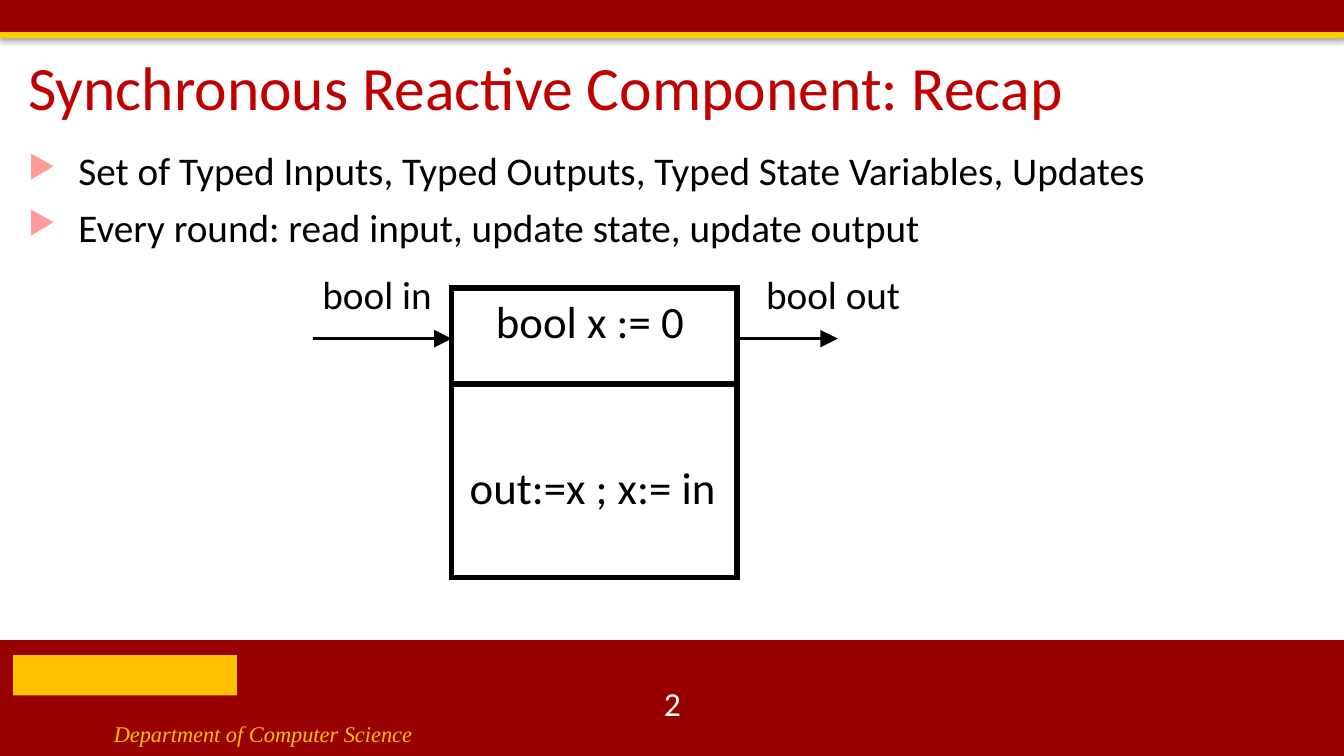
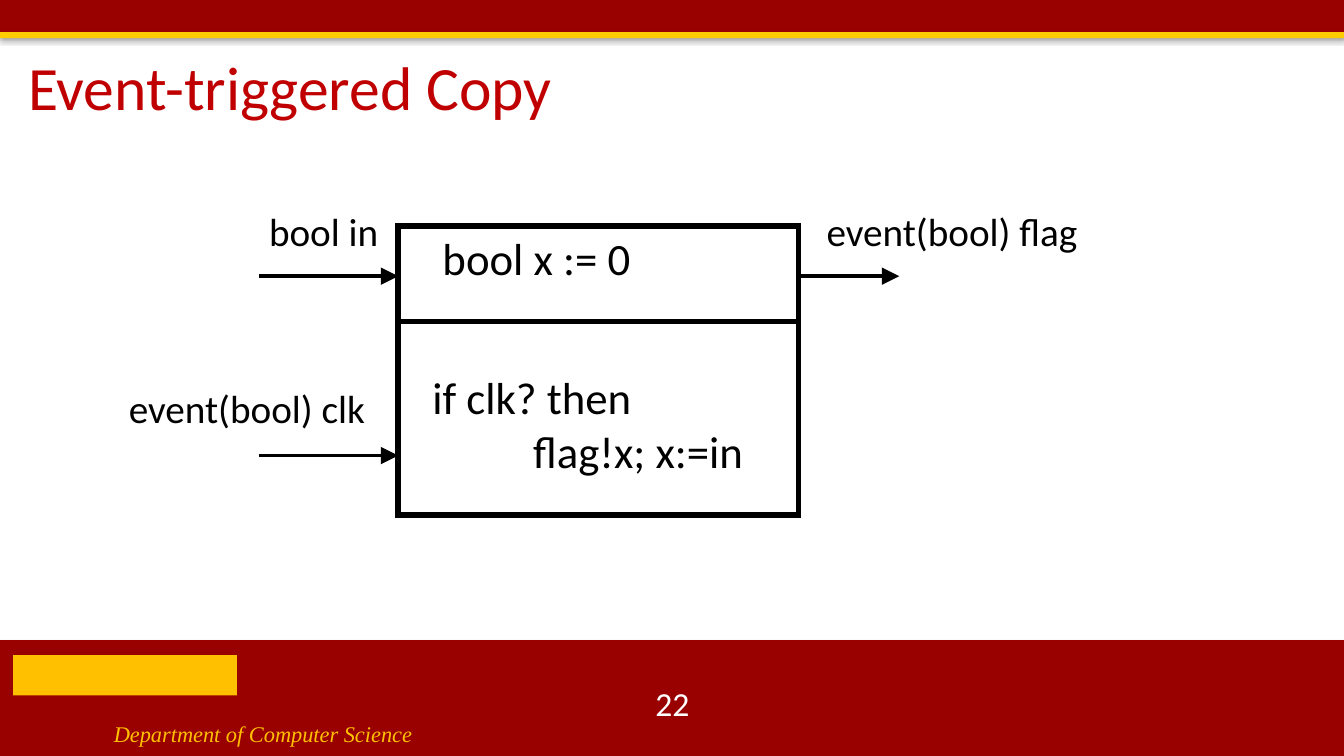
from dataclasses import dataclass

from lxml import etree
from pptx import Presentation
from pptx.dml.color import RGBColor
from pptx.enum.shapes import MSO_CONNECTOR, MSO_SHAPE
from pptx.enum.text import MSO_ANCHOR, PP_ALIGN
from pptx.oxml.ns import qn
from pptx.util import Inches, Pt

RECTANGLE = MSO_SHAPE.RECTANGLE
STRAIGHT = MSO_CONNECTOR.STRAIGHT
TOP, MIDDLE = MSO_ANCHOR.TOP, MSO_ANCHOR.MIDDLE
LEFT, CENTER = PP_ALIGN.LEFT, PP_ALIGN.CENTER

COLORS = {
    "cardinal": "990000",
    "gold": "FFCC00",
    "footer": "FFC000",
    "title": "C00000",
    "bullet": "FF9B9B",
    "black": "000000",
    "white": "FFFFFF",
}
SANS, SERIF = "Calibri", "Times New Roman"
SLIDE_WIDTH, SLIDE_HEIGHT = 13.33, 7.5

# Component diagram, in inches relative to its box
BOX_HEIGHT = 2.87
DIVIDER = 0.95
UPPER_PORT, LOWER_PORT = 0.5, 2.28
INPUT_LENGTH, OUTPUT_LENGTH = 1.38, 1.0


@dataclass(frozen=True)
class Label:
    """Text placed relative to the top left corner of a component box."""
    lines: tuple[str, ...]
    left: float
    top: float
    width: float
    size: int = 28
    indent: float = 0


@dataclass(frozen=True)
class Component:
    left: float
    top: float
    width: float
    input_ports: tuple[float, ...]
    labels: tuple[Label, ...]


@dataclass(frozen=True)
class Page:
    title: str
    number: int
    component: Component
    bullets: tuple[str, ...] = ()


INPUT_LABEL = Label(("bool in",), -INPUT_LENGTH, -0.23, 1.3)
STATE_LABEL = Label(("bool x := 0",), 0.34, 0, 2.09, 32)

PAGES = (
    Page(
        "Synchronous Reactive Component: Recap", 2,
        Component(4.48, 2.86, 2.83, (UPPER_PORT,), (
            INPUT_LABEL,
            Label(("bool out",), 3.02, -0.23, 1.55),
            STATE_LABEL,
            Label(("out:=x ; x:= in",), 0.08, 1.65, 2.67, 32),
        )),
        ("Set of Typed Inputs, Typed Outputs, Typed State Variables, Updates",
         "Every round: read input, update state, update output"),
    ),
    Page(
        "Event-triggered Copy", 22,
        Component(3.95, 2.24, 3.97, (UPPER_PORT, LOWER_PORT), (
            INPUT_LABEL,
            Label(("event(bool) flag",), 4.15, -0.23, 2.72),
            STATE_LABEL,
            Label(("if clk? then", "flag!x; x:=in"), 0.24, 1.38, 3.32, 32, 1),
            Label(("event(bool) clk",), -2.77, 1.52, 2.54),
        )),
    ),
)


def rgb(name: str) -> RGBColor:
    return RGBColor.from_string(COLORS[name])


def add_shadow(shape) -> None:
    """Give a band a soft shadow straight below it."""
    effects = shape._element.spPr.find(qn("a:effectLst"))
    shadow = etree.SubElement(effects, qn("a:outerShdw"), blurRad=str(Pt(3.1)),
                              dist=str(Pt(1.8)), dir="5400000", rotWithShape="0")
    color = etree.SubElement(shadow, qn("a:srgbClr"), val=COLORS["black"])
    etree.SubElement(color, qn("a:alpha"), val="35000")


def add_block(slide, left: float, top: float, width: float, height: float, color: str):
    """Add a plain filled rectangle without outline or shadow."""
    block = slide.shapes.add_shape(RECTANGLE, Inches(left), Inches(top),
                                   Inches(width), Inches(height))
    block.fill.solid()
    block.fill.fore_color.rgb = rgb(color)
    block.line.fill.background()
    block.shadow.inherit = False
    return block


def add_band(slide, top: float, height: float, color: str) -> None:
    add_shadow(add_block(slide, 0, top, SLIDE_WIDTH, height, color))


def add_text(slide, lines: tuple[str, ...], left: float, top: float, width: float,
             height: float, size: int, color: str = "black", font: str = SANS,
             anchor=TOP, alignment=LEFT, wrap: bool = True):
    """Add a text box with one paragraph a line and return its paragraphs."""
    frame = slide.shapes.add_textbox(Inches(left), Inches(top),
                                     Inches(width), Inches(height)).text_frame
    frame.word_wrap = wrap
    frame.vertical_anchor = anchor
    frame.text = "\n".join(lines)
    for paragraph in frame.paragraphs:
        paragraph.alignment = alignment
        paragraph.font.name = font
        paragraph.font.size = Pt(size)
        paragraph.font.color.rgb = rgb(color)
    return frame.paragraphs


def set_indent(paragraph, margin: float, first_line: float = 0) -> None:
    properties = paragraph._p.get_or_add_pPr()
    properties.set("marL", str(Inches(margin)))
    properties.set("indent", str(Inches(first_line)))


def add_bullet(paragraph) -> None:
    set_indent(paragraph, 0.5, -0.5)
    # Bullet elements come before the default run properties.
    properties = paragraph._p.get_or_add_pPr()
    color = etree.Element(qn("a:buClr"))
    etree.SubElement(color, qn("a:srgbClr"), val=COLORS["bullet"])
    size = etree.Element(qn("a:buSzPct"), val="80000")
    character = etree.Element(qn("a:buChar"), char="▶")
    defaults = properties.find(qn("a:defRPr"))
    for element in (color, size, character):
        defaults.addprevious(element)


def add_line(slide, start: tuple[float, float], length: float, weight: float,
             arrow: bool = False) -> None:
    """Draw a horizontal line to the right of its start."""
    left, top = start
    line = slide.shapes.add_connector(STRAIGHT, Inches(left), Inches(top),
                                      Inches(left + length), Inches(top))
    line.line.color.rgb = rgb("black")
    line.line.width = Pt(weight)
    if arrow:
        etree.SubElement(line.line._get_or_add_ln(), qn("a:tailEnd"),
                         type="triangle", w="lg", len="lg")
    etree.SubElement(line._element.spPr, qn("a:effectLst"))


def add_frame(slide, title: str, number: int) -> None:
    """Add the bands, footer, title and page number that every slide has."""
    add_band(slide, 6.35, 1.15, "cardinal")
    add_band(slide, 0, 0.33, "cardinal")
    add_band(slide, 0.32, 0.06, "gold")

    add_block(slide, 0.13, 6.5, 2.22, 0.4, "footer")
    department, = add_text(slide, ("Department of Computer Science",),
                           1.03, 7.1, 5.25, 0.37, 16, "footer", SERIF)
    department.font.italic = True

    heading, = add_text(slide, (title,), 0.18, 0.47, 11.94, 0.85, 44, "title",
                        anchor=MIDDLE)
    heading.line_spacing = 0.9
    add_text(slide, (str(number),), 5.17, 6.78, 3, 0.4, 24, "white",
             anchor=MIDDLE, alignment=CENTER)


def add_bullets(slide, bullets: tuple[str, ...]) -> None:
    paragraphs = add_text(slide, bullets, 0.18, 1.46, 12.79, 1.17, 28)
    for index, paragraph in enumerate(paragraphs):
        paragraph.line_spacing = 0.9
        if index:
            paragraph.space_before = Pt(10)
        add_bullet(paragraph)


def add_component(slide, component: Component) -> None:
    left, top, width = component.left, component.top, component.width
    box = slide.shapes.add_shape(RECTANGLE, Inches(left), Inches(top),
                                 Inches(width), Inches(BOX_HEIGHT))
    box.fill.background()
    box.line.color.rgb = rgb("black")
    box.line.width = Pt(4)
    etree.SubElement(box.line._get_or_add_ln(), qn("a:miter"), lim="800000")
    box.shadow.inherit = False

    add_line(slide, (left, top + DIVIDER), width, 4)
    add_line(slide, (left + width, top + UPPER_PORT), OUTPUT_LENGTH, 2.5, arrow=True)
    for port in component.input_ports:
        add_line(slide, (left - INPUT_LENGTH, top + port), INPUT_LENGTH, 2.5, arrow=True)

    for label in component.labels:
        height = 0.1 + len(label.lines) * label.size / 60
        paragraphs = add_text(slide, label.lines, left + label.left, top + label.top,
                              label.width, height, label.size, wrap=False)
        for paragraph in paragraphs[1:]:
            set_indent(paragraph, label.indent)


def main() -> None:
    presentation = Presentation()
    presentation.slide_width = Inches(SLIDE_WIDTH)
    presentation.slide_height = Inches(SLIDE_HEIGHT)
    blank = presentation.slide_layouts[6]
    for page in PAGES:
        slide = presentation.slides.add_slide(blank)
        add_frame(slide, page.title, page.number)
        if page.bullets:
            add_bullets(slide, page.bullets)
        add_component(slide, page.component)
    presentation.save("out.pptx")


if __name__ == "__main__":
    main()
